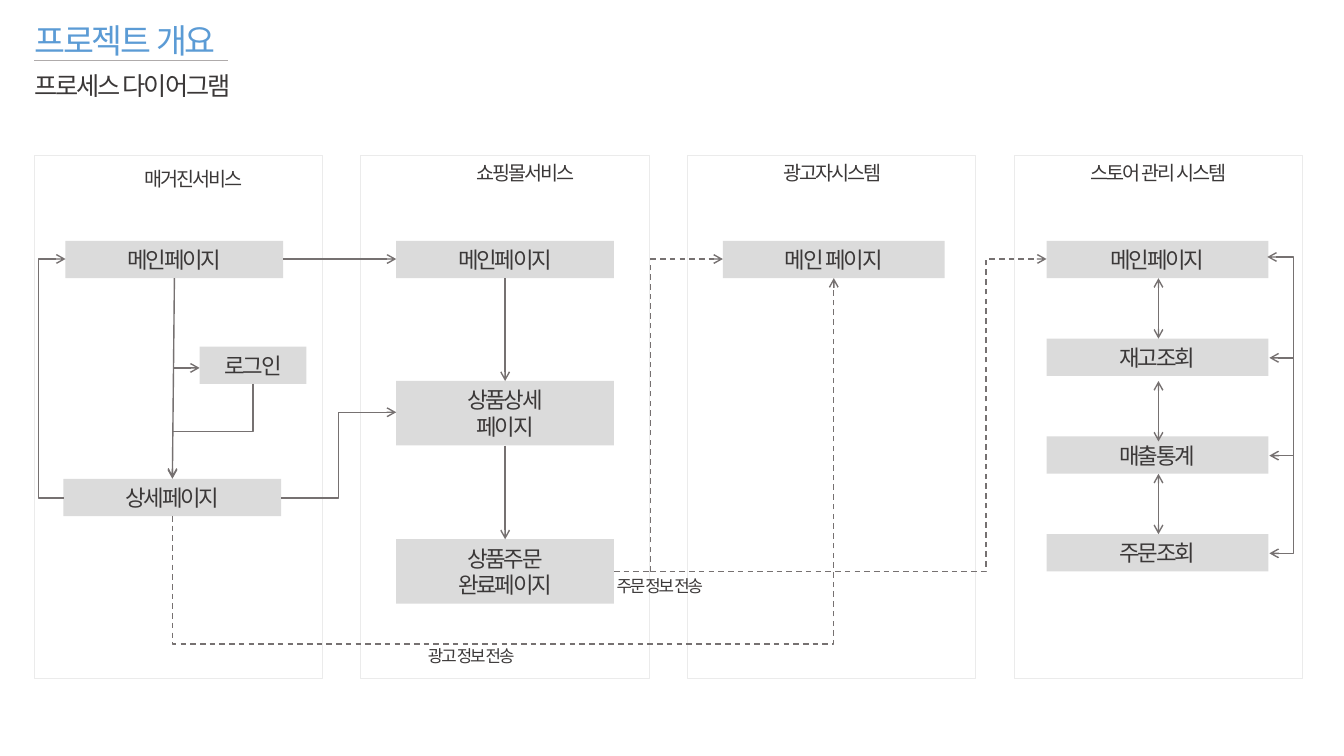
from collections import namedtuple

from lxml.etree import SubElement
from pptx import Presentation
from pptx.dml.color import RGBColor
from pptx.enum.dml import MSO_LINE
from pptx.enum.shapes import MSO_CONNECTOR, MSO_SHAPE
from pptx.enum.text import MSO_ANCHOR, MSO_AUTO_SIZE, PP_ALIGN
from pptx.oxml.ns import qn
from pptx.util import Inches, Pt

Box = namedtuple("Box", "left top width height")
FONT, INK, ACCENT = "Lato", "3B3838", "5B9BD5"
ARROW, PAGE, BORDER, RULE = "767171", "DBDBDB", "EBEBEB", "AFABAB"
LANE_STEP, PAGE_HEIGHT, TALL_PAGE = 3.24, 0.37, 0.64
MAIN_TOP, MAIN_MIDDLE = 0.85, 1.03


def color(value):
    """Return the colour for a hex string."""
    return RGBColor.from_string(value)


def inside(box, left, top, width=0, height=0):
    """Return a box placed relative to another box."""
    return Box(box.left + left, box.top + top, width, height)


def emu(box):
    """Return the box as four lengths."""
    return [Inches(length) for length in box]


def write(holder, text, size, ink=INK, align=PP_ALIGN.CENTER, anchor=MSO_ANCHOR.TOP):
    """Put formatted text into a shape."""
    frame = holder.text_frame
    frame.text = text
    frame.word_wrap = True
    frame.auto_size = MSO_AUTO_SIZE.NONE
    frame.vertical_anchor = anchor
    for paragraph in frame.paragraphs:
        paragraph.alignment = align
        for run in paragraph.runs:
            run.font.name = FONT
            run.font.size = Pt(size)
            run.font.bold = False
            run.font.color.rgb = color(ink)
            properties = run.font._element
            properties.set("spc", "-150")
            SubElement(properties, qn("a:ea"), typeface=FONT)


def panel(slide, box, fill, border=None):
    """Draw a flat rectangle."""
    rectangle = slide.shapes.add_shape(MSO_SHAPE.RECTANGLE, *emu(box))
    rectangle.shadow.inherit = False
    rectangle.fill.solid()
    rectangle.fill.fore_color.rgb = color(fill)
    if border:
        rectangle.line.color.rgb = color(border)
        rectangle.line.width = Pt(0.75)
    else:
        rectangle.line.fill.background()
    return rectangle


def page(slide, lane, left, top, text, width=2.16, height=PAGE_HEIGHT):
    """Draw one page of a lane."""
    rectangle = panel(slide, inside(lane, left, top, width, height), PAGE)
    write(rectangle, text, 16, anchor=MSO_ANCHOR.MIDDLE)


def label(slide, box, text, size):
    """Add a centred caption."""
    write(slide.shapes.add_textbox(*emu(box)), text, size)


def style_line(connector, ink, dashed, head, tail):
    """Format a connector and its arrowheads."""
    connector.line.color.rgb = color(ink)
    connector.line.width = Pt(1)
    if dashed:
        connector.line.dash_style = MSO_LINE.DASH
    outline = connector.line._get_or_add_ln()
    for end, shown in (("a:headEnd", head), ("a:tailEnd", tail)):
        if shown:
            SubElement(outline, qn(end), type="arrow")
    SubElement(connector._element.spPr, qn("a:effectLst"))


def link(slide, box, start, end, ink=ARROW, dashed=False, head=False, tail=True):
    """Draw a straight line between two points of a box."""
    begin, finish = inside(box, *start), inside(box, *end)
    connector = slide.shapes.add_connector(
        MSO_CONNECTOR.STRAIGHT, *emu(begin[:2] + finish[:2]))
    style_line(connector, ink, dashed, head, tail)


def elbow(slide, box, start, end, turn, vertical=False, dashed=False, head=False):
    """Draw a bent arrow whose middle leg lies at the turn."""
    (x0, y0), (x1, y1) = start, end
    share = (turn - x0) / (x1 - x0)
    if vertical:
        share = (turn - y0) / (y1 - y0)
        x, y = (x0 + x1) / 2, (y0 + y1) / 2
        start, end = (x + y0 - y, y - x0 + x), (x + y1 - y, y - x1 + x)
    begin, finish = inside(box, *start), inside(box, *end)
    connector = slide.shapes.add_connector(
        MSO_CONNECTOR.ELBOW, *emu(begin[:2] + finish[:2]))
    properties = connector._element.spPr
    if vertical:
        properties.find(qn("a:xfrm")).set("rot", "5400000")
    guides = properties.find(qn("a:prstGeom")).find(qn("a:avLst"))
    SubElement(guides, qn("a:gd"), name="adj1", fmla=f"val {round(share * 100000)}")
    style_line(connector, ARROW, dashed, head, True)


def heading(slide, box):
    """Fill the title and subtitle with the rule between them."""
    title, subtitle = slide.placeholders
    parts = (
        (title, "프로젝트 개요", 24, ACCENT, 0, 0.29, MSO_ANCHOR.MIDDLE),
        (subtitle, "프로세스 다이어그램", 18, INK, 0.4, 0.4, MSO_ANCHOR.TOP),
    )
    for holder, text, size, ink, top, height, anchor in parts:
        holder.left, holder.top, holder.width, holder.height = emu(
            inside(box, 0, top, box.width, height))
        write(holder, text, size, ink, PP_ALIGN.LEFT, anchor)
    link(slide, box, (0.1, 0.35), (2.02, 0.35), RULE, tail=False)


def lane_frame(slide, lane, name, center, top=0.01):
    """Draw a lane border and its name."""
    panel(slide, lane, "FFFFFF", BORDER)
    label(slide, inside(lane, center - 1.11, top, 2.22, 0.34), name, 14)


def magazine(slide, lane):
    """Draw the magazine lane."""
    lane_frame(slide, lane, "매거진서비스", 1.58, 0.07)
    page(slide, lane, 0.31, MAIN_TOP, "메인페이지")
    page(slide, lane, 0.29, 3.21, "상세페이지")
    link(slide, lane, (1.39, 1.22), (1.37, 3.2))
    link(slide, lane, (1.38, 2.11), (1.64, 2.11))
    page(slide, lane, 1.64, 1.9, "로그인", 1.06)
    elbow(slide, lane, (0.29, 3.4), (0.31, MAIN_MIDDLE), 0.04)
    elbow(slide, lane, (2.17, 2.27), (1.37, 3.21), 2.74, vertical=True)


def shop(slide, lane):
    """Draw the shopping mall lane."""
    lane_frame(slide, lane, "쇼핑몰서비스", 1.63)
    page(slide, lane, 0.35, MAIN_TOP, "메인페이지")
    page(slide, lane, 0.35, 2.24, "상품상세\v페이지", height=TALL_PAGE)
    page(slide, lane, 0.35, 3.81, "상품주문\v완료페이지", height=TALL_PAGE)
    for top, bottom in ((1.22, 2.24), (2.88, 3.81)):
        link(slide, lane, (1.43, top), (1.43, bottom))


def advertiser(slide, lane):
    """Draw the advertiser lane."""
    lane_frame(slide, lane, "광고자시스템", 1.44)
    page(slide, lane, 0.35, MAIN_TOP, "메인 페이지", 2.2)


def store(slide, lane):
    """Draw the store management lane."""
    lane_frame(slide, lane, "스토어 관리 시스템", 1.43)
    for row, name in enumerate(("메인페이지", "재고조회", "매출통계", "주문조회")):
        page(slide, lane, 0.32, MAIN_TOP + 0.97 * row, name, 2.2)
    for top in (1.22, 2.24, 3.16):
        link(slide, lane, (1.43, top), (1.43, top + 0.6), head=True)
    elbow(slide, lane, (2.53, 3.95), (2.51, 1.01), 2.77, head=True)
    for middle in (2.01, 2.98):
        link(slide, lane, (2.53, middle), (2.77, middle), head=True, tail=False)


def exchanges(slide, box):
    """Draw the links between lanes and their captions."""
    order_middle, gap = 4.13, 6.11
    link(slide, box, (2.47, MAIN_MIDDLE), (3.59, MAIN_MIDDLE))
    elbow(slide, box, (2.45, 3.4), (3.59, 2.55), 3.02)
    link(slide, box, (5.75, order_middle), (gap, order_middle), dashed=True, tail=False)
    link(slide, box, (gap, order_middle), (gap, MAIN_MIDDLE), dashed=True, tail=False)
    link(slide, box, (gap, MAIN_MIDDLE), (6.83, MAIN_MIDDLE), dashed=True)
    elbow(slide, box, (1.37, 3.58), (7.93, 1.22), 4.85, vertical=True, dashed=True)
    elbow(slide, box, (gap, order_middle), (10.04, MAIN_MIDDLE), 9.44, dashed=True)
    label(slide, inside(box, 3.32, 4.82, 2.03, 0.3), "광고 정보 전송", 12)
    label(slide, inside(box, 5.19, 4.12, 2.03, 0.3), "주문 정보 전송", 12)


def main():
    """Build and save the slide."""
    deck = Presentation()
    deck.slide_width, deck.slide_height = Inches(13.33), Inches(7.5)
    slide = deck.slides.add_slide(deck.slide_layouts[2])
    heading(slide, Box(0.24, 0.25, 3.86, 0.8))
    diagram = Box(0.34, 1.54, 12.58, 5.19)
    for column, draw in enumerate((magazine, shop, advertiser, store)):
        draw(slide, inside(diagram, LANE_STEP * column, 0, 2.86, diagram.height))
    exchanges(slide, diagram)
    deck.save("out.pptx")


if __name__ == "__main__":
    main()
